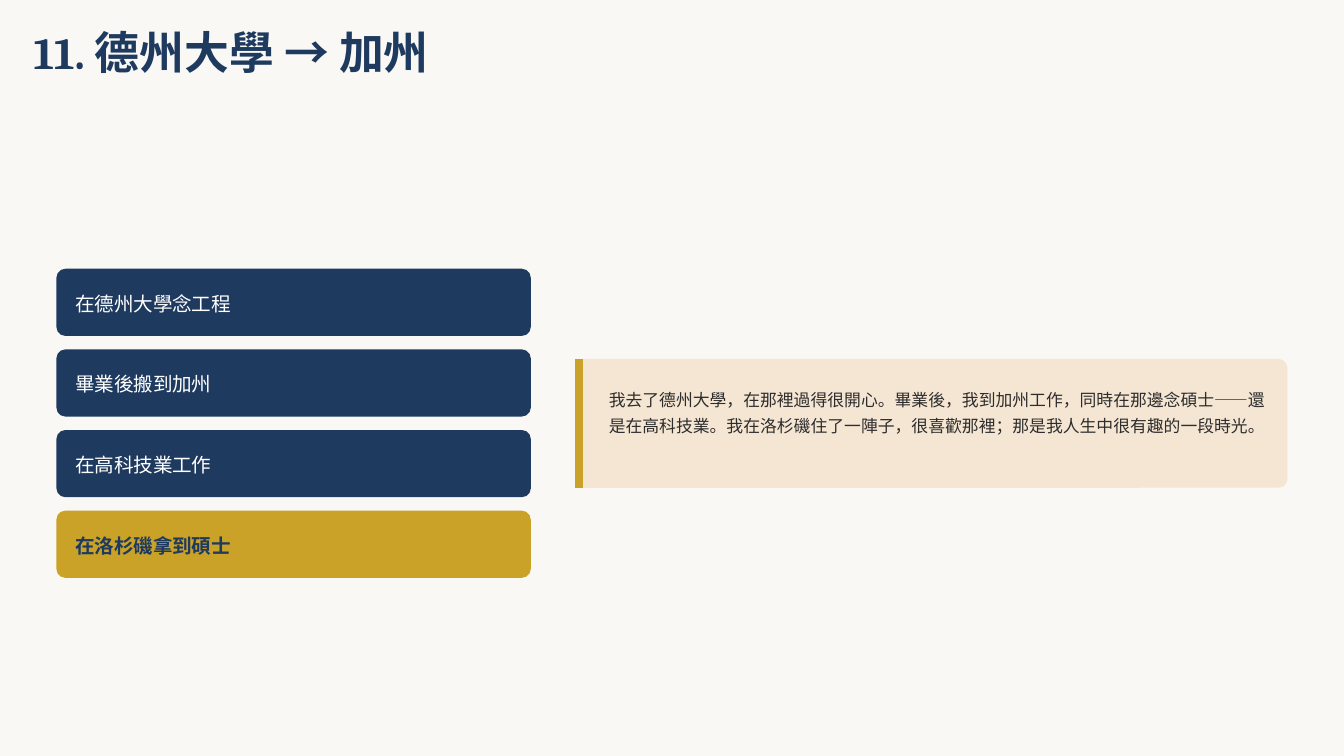
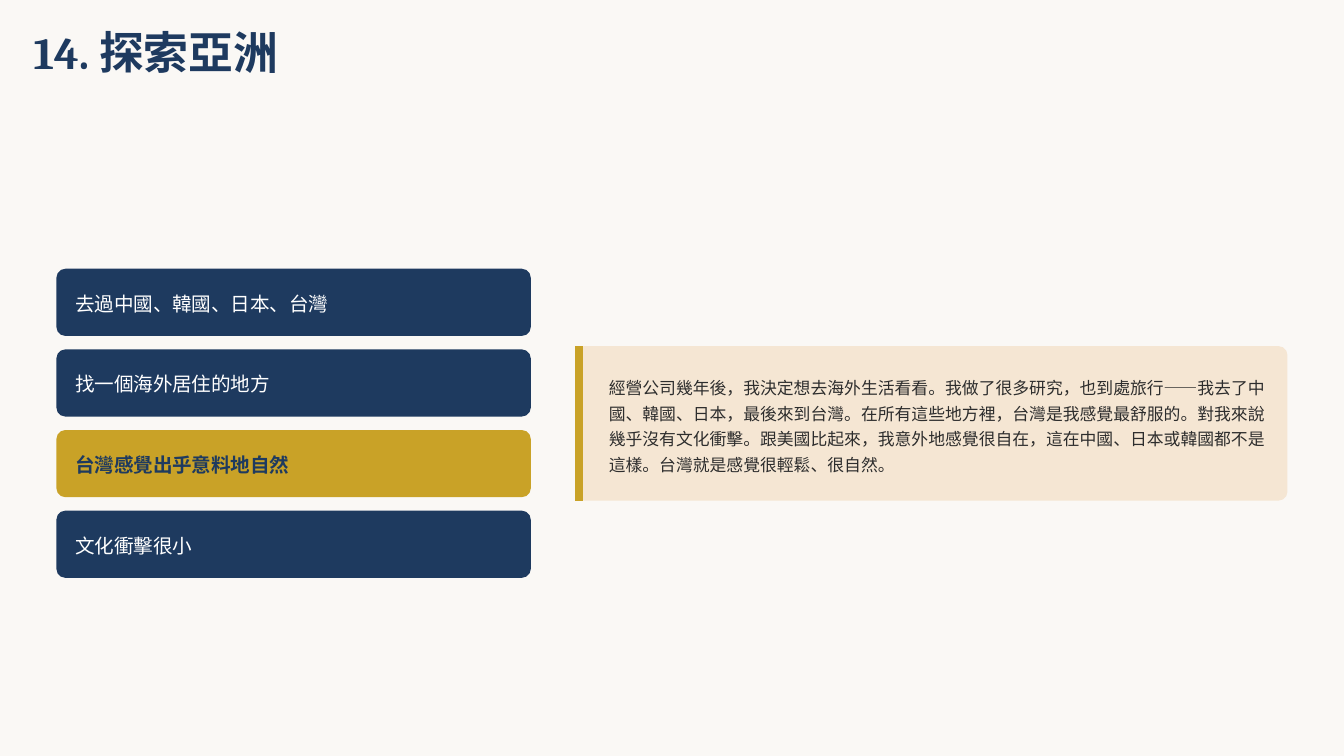
from dataclasses import dataclass

from lxml.etree import SubElement
from pptx import Presentation
from pptx.dml.color import RGBColor as RGB
from pptx.enum.shapes import MSO_CONNECTOR as Connector, MSO_SHAPE as Shape
from pptx.oxml.ns import qn
from pptx.util import Inches, Pt


@dataclass(frozen=True)
class Theme:
    paper: RGB = RGB.from_string("FAF8F5")
    navy: RGB = RGB.from_string("1E3A5F")
    gold: RGB = RGB.from_string("C9A227")
    sand: RGB = RGB.from_string("F5E6D3")
    ink: RGB = RGB.from_string("2D2D2D")
    white: RGB = RGB.from_string("FFFFFF")
    heading_font: str = "Cambria"
    body_font: str = "Arial"
    # Type size and line spacing, in points
    title: tuple = (24, 24)
    point: tuple = (10.5, 14.7)
    story: tuple = (9, 13.9)


theme = Theme()

CARD_LEFT, CARD_TOP, CARD_WIDTH, CARD_HEIGHT = 0.42, 2, 3.53, 0.5
CARD_STEP = 0.6
PANEL_LEFT, PANEL_WIDTH, PANEL_MIDDLE = 4.28, 5.3, 3.15
PANEL_PAD = 0.19
BAR_X = 4.31
CORNER = 1 / 15

# Title, points, index of the highlighted point, story, story height
chapters = [
    (
        "11. 德州大學 → 加州",
        ["在德州大學念工程", "畢業後搬到加州", "在高科技業工作", "在洛杉磯拿到碩士"],
        3,
        "我去了德州大學，在那裡過得很開心。畢業後，我到加州工作，同時在那邊念碩士——還"
        "是在高科技業。我在洛杉磯住了一陣子，很喜歡那裡；那是我人生中很有趣的一段時光。",
        0.58,
    ),
    (
        "14. 探索亞洲",
        ["去過中國、韓國、日本、台灣", "找一個海外居住的地方", "台灣感覺出乎意料地自然", "文化衝擊很小"],
        2,
        "經營公司幾年後，我決定想去海外生活看看。我做了很多研究，也到處旅行——我去了中"
        "國、韓國、日本，最後來到台灣。在所有這些地方裡，台灣是我感覺最舒服的。對我來說"
        "幾乎沒有文化衝擊。跟美國比起來，我意外地感覺很自在，這在中國、日本或韓國都不是"
        "這樣。台灣就是感覺很輕鬆、很自然。",
        0.77,
    ),
]


def add_text(slide, text, left, top, width, height, style, color,
             font=theme.body_font, bold=False):
    box = slide.shapes.add_textbox(
        Inches(left), Inches(top), Inches(width), Inches(height))
    frame = box.text_frame
    frame.word_wrap = True
    frame.margin_left = frame.margin_right = 0
    frame.margin_top = frame.margin_bottom = 0
    size, spacing = style
    paragraph = frame.paragraphs[0]
    paragraph.line_spacing = Pt(spacing)
    run = paragraph.add_run()
    run.text = text
    run.font.name = font
    run.font.size = Pt(size)
    run.font.bold = bold
    run.font.color.rgb = color


def add_card(slide, left, top, width, height, color):
    card = slide.shapes.add_shape(
        Shape.ROUNDED_RECTANGLE,
        Inches(left), Inches(top), Inches(width), Inches(height))
    card.adjustments[0] = CORNER / height
    card.shadow.inherit = False
    card.fill.solid()
    card.fill.fore_color.rgb = color
    card.line.fill.background()


# Widescreen deck, 16:9
deck = Presentation()
deck.slide_width = Inches(10)
deck.slide_height = Inches(10 * 9 / 16)
blank = deck.slide_layouts[6]

for title, points, highlight, story, story_height in chapters:
    slide = deck.slides.add_slide(blank)
    slide.background.fill.solid()
    slide.background.fill.fore_color.rgb = theme.paper

    # Title
    add_text(slide, title, 0.25, 0.25, 4.86, 0.33, theme.title, theme.navy,
             font=theme.heading_font, bold=True)

    # Column of key points, one highlighted
    for row, point in enumerate(points):
        top = CARD_TOP + row * CARD_STEP
        key = row == highlight
        add_card(slide, CARD_LEFT, top, CARD_WIDTH, CARD_HEIGHT,
                 theme.gold if key else theme.navy)
        add_text(slide, point, CARD_LEFT + 0.14, top + 0.14, 3.31, 0.2,
                 theme.point, theme.navy if key else theme.white, bold=key)

    # Story panel, centred on the column of points
    panel_height = story_height + 2 * PANEL_PAD
    panel_top = PANEL_MIDDLE - panel_height / 2
    add_card(slide, PANEL_LEFT, panel_top, PANEL_WIDTH, panel_height, theme.sand)

    # Gold bar along the panel's left edge
    bar = slide.shapes.add_connector(
        Connector.STRAIGHT, Inches(BAR_X), Inches(panel_top),
        Inches(BAR_X), Inches(panel_top + panel_height))
    bar.line.color.rgb = theme.gold
    bar.line.width = Pt(4.5)
    SubElement(bar._element.spPr, qn("a:effectLst"))

    # Story
    add_text(slide, story, 4.53, panel_top + PANEL_PAD, 4.96, story_height,
             theme.story, theme.ink)

deck.save("out.pptx")
